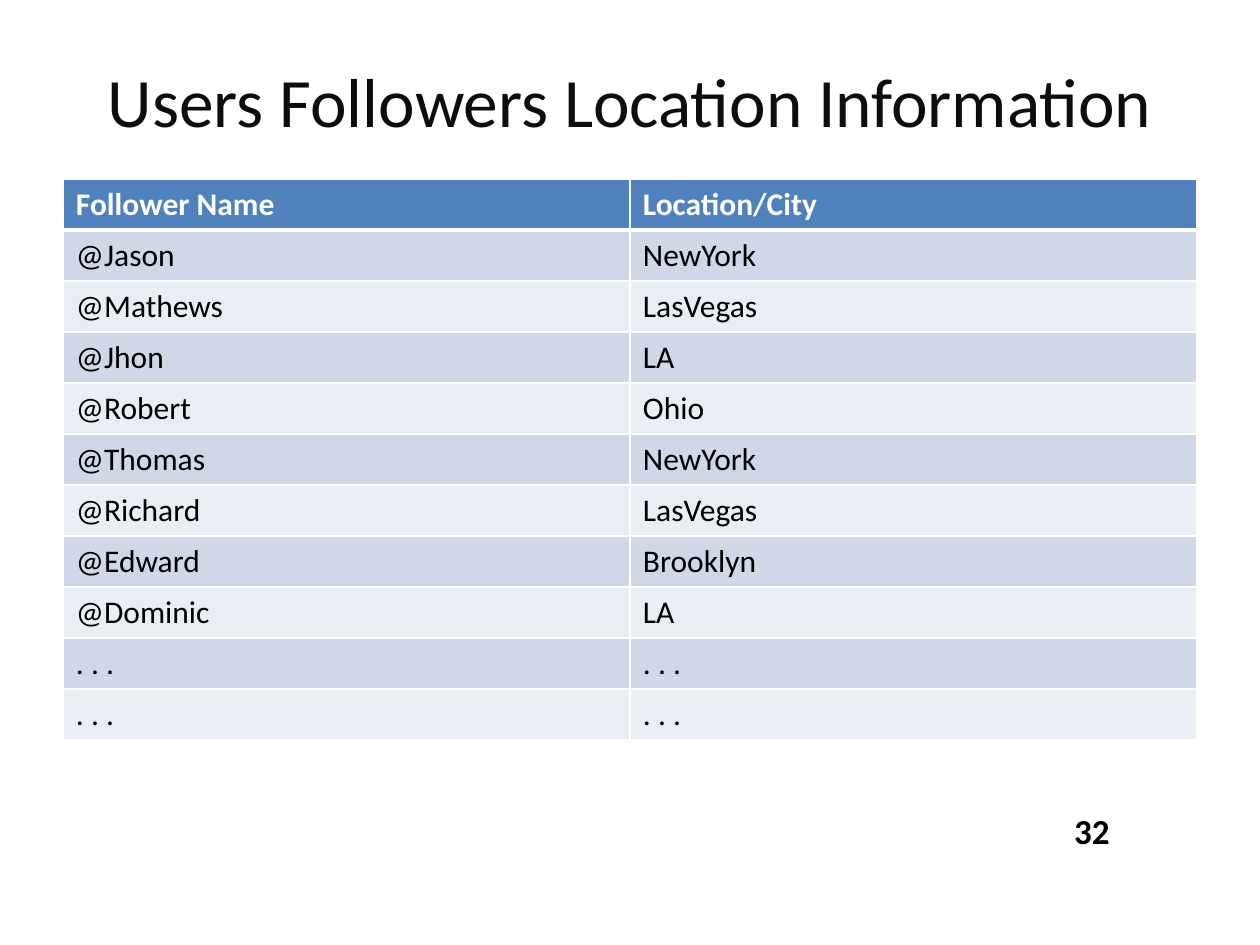
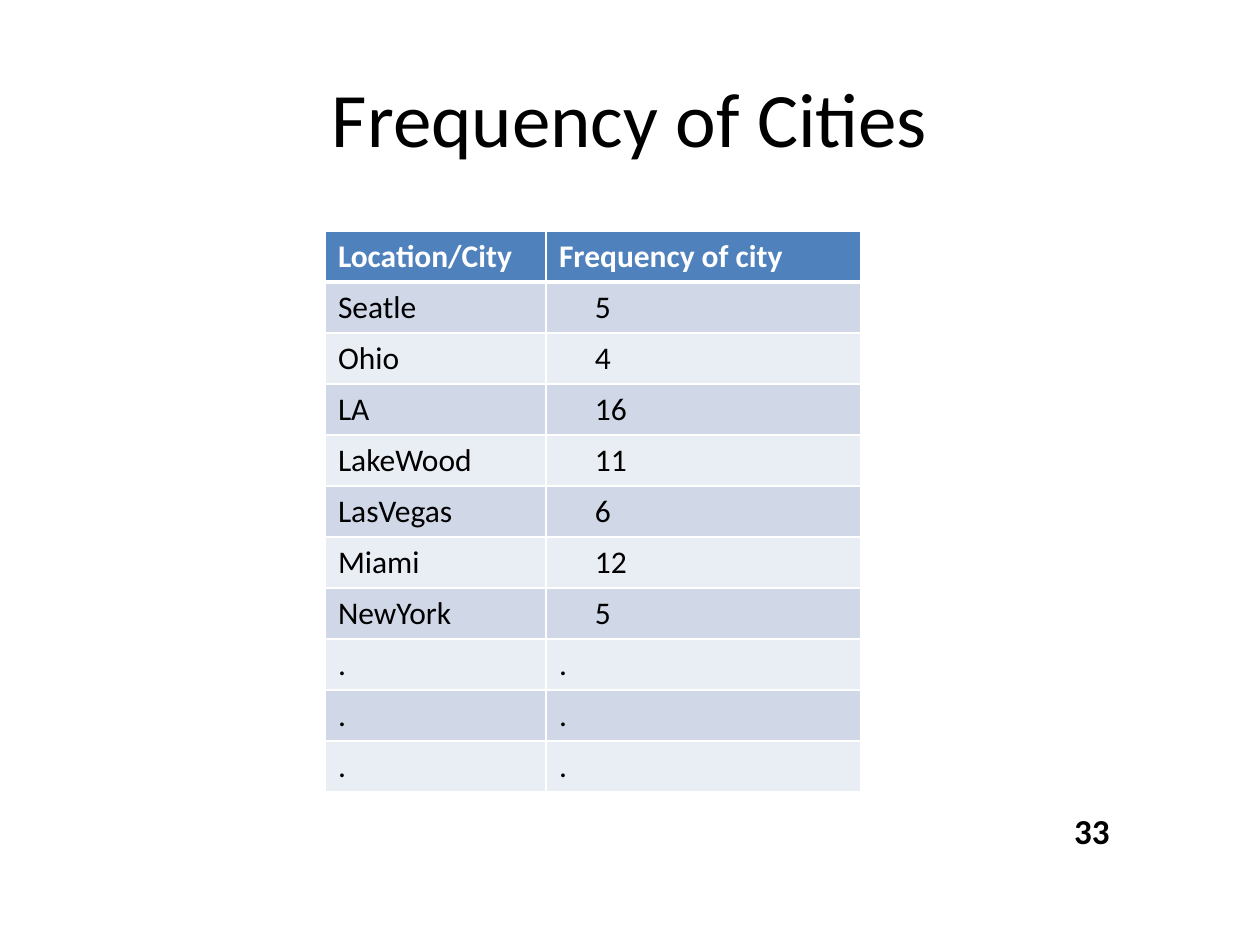
from lxml import etree
from pptx import Presentation
from pptx.dml.color import RGBColor
from pptx.enum.shapes import MSO_SHAPE
from pptx.enum.text import MSO_ANCHOR, PP_ALIGN
from pptx.oxml.ns import qn
from pptx.util import Emu, Pt

RECTANGLE = MSO_SHAPE.RECTANGLE
MIDDLE = MSO_ANCHOR.MIDDLE
CENTER = PP_ALIGN.CENTER

# Content
SLIDES = [
    {
        "title": "Users Followers Location Information",
        "title_size": 39.6, "title_color": "soft_black", "title_top": 21,
        "table_left": 63, "table_top": 179, "column_widths": [567, 567],
        "indent_numbers": 0,
        "rows": [
            ("Follower Name", "Location/City"),
            ("@Jason", "NewYork"),
            ("@Mathews", "LasVegas"),
            ("@Jhon", "LA"),
            ("@Robert", "Ohio"),
            ("@Thomas", "NewYork"),
            ("@Richard", "LasVegas"),
            ("@Edward", "Brooklyn"),
            ("@Dominic", "LA"),
            (". . .", ". . ."),
            (". . .", ". . ."),
        ],
        "number": "32",
    },
    {
        "title": "Frequency of Cities",
        "title_size": 44, "title_color": "black", "title_top": 38,
        "table_left": 325, "table_top": 231, "column_widths": [221, 315],
        "indent_numbers": 36,
        "rows": [
            ("Location/City", "Frequency of city"),
            ("Seatle", "5"),
            ("Ohio", "4"),
            ("LA", "16"),
            ("LakeWood", "11"),
            ("LasVegas", "6"),
            ("Miami", "12"),
            ("NewYork", "5"),
            (".", "."),
            (".", "."),
            (".", "."),
        ],
        "number": "33",
    },
]

# Shared style
COLORS = {
    "black": "000000", "soft_black": "0D0D0D", "white": "FFFFFF",
    "header": "4F81BD", "band_dark": "D0D8E8", "band_light": "E9EDF4",
}
FONT = "Calibri"
SLIDE_WIDTH, SLIDE_HEIGHT = 1260, 945
TITLE_LEFT, TITLE_WIDTH, TITLE_HEIGHT = 63, 1134, 158
NUMBER_BOX = (1029, 788, 126, 84)
ROW_HEIGHT = 51
CELL_MARGIN = 13
THIN, THICK = 1, 3


def px(length):
    return Emu(round(length * 914400 / 126))


def color(name):
    return RGBColor.from_string(COLORS[name])


def write(text_frame, text, size, color_name, bold=False, align=None):
    paragraph = text_frame.paragraphs[0]
    paragraph.alignment = align
    run = paragraph.add_run()
    run.text = text
    run.font.name = FONT
    run.font.size = Pt(size)
    run.font.bold = bold
    run.font.color.rgb = color(color_name)


def set_borders(cell, top, bottom):
    """Draw white borders; the line elements must precede the cell fill."""
    properties = cell._tc.get_or_add_tcPr()
    widths = {"lnL": THIN, "lnR": THIN, "lnT": top, "lnB": bottom}
    for position, (side, width) in enumerate(widths.items()):
        line = etree.Element(qn(f"a:{side}"), w=str(Pt(width)))
        fill = etree.SubElement(line, qn("a:solidFill"))
        etree.SubElement(fill, qn("a:srgbClr"), val=COLORS["white"])
        properties.insert(position, line)


def add_title(slide, content):
    box = slide.shapes.add_textbox(px(TITLE_LEFT), px(content["title_top"]),
                                   px(TITLE_WIDTH), px(TITLE_HEIGHT))
    box.text_frame.word_wrap = True
    box.text_frame.vertical_anchor = MIDDLE
    write(box.text_frame, content["title"], content["title_size"],
          content["title_color"], align=CENTER)


def add_city_table(slide, content):
    rows, widths = content["rows"], content["column_widths"]
    table = slide.shapes.add_table(
        len(rows), len(widths), px(content["table_left"]), px(content["table_top"]),
        px(sum(widths)), px(ROW_HEIGHT * len(rows))).table
    for column, width in zip(table.columns, widths):
        column.width = px(width)

    for row_index, row in enumerate(rows):
        table.rows[row_index].height = px(ROW_HEIGHT)
        is_header = row_index == 0
        band = "band_dark" if row_index % 2 else "band_light"
        for column_index, text in enumerate(row):
            cell = table.cell(row_index, column_index)
            indent = content["indent_numbers"] if text.isdigit() else 0
            cell.margin_left = px(CELL_MARGIN + indent)
            cell.fill.solid()
            cell.fill.fore_color.rgb = color("header" if is_header else band)
            set_borders(cell, top=THICK if row_index == 1 else THIN,
                        bottom=THICK if is_header else THIN)
            write(cell.text_frame, text, 18,
                  "white" if is_header else "black", bold=is_header)


def add_slide_number(slide, number):
    shape = slide.shapes.add_shape(RECTANGLE, *map(px, NUMBER_BOX))
    shape.shadow.inherit = False
    shape.fill.solid()
    shape.fill.fore_color.rgb = color("white")
    shape.line.color.rgb = color("white")
    shape.line.width = Pt(2)
    shape.text_frame.vertical_anchor = MIDDLE
    write(shape.text_frame, number, 20, "black", bold=True, align=CENTER)


def main():
    presentation = Presentation()
    presentation.slide_width = px(SLIDE_WIDTH)
    presentation.slide_height = px(SLIDE_HEIGHT)
    blank_layout = presentation.slide_layouts[6]
    for content in SLIDES:
        slide = presentation.slides.add_slide(blank_layout)
        add_title(slide, content)
        add_city_table(slide, content)
        add_slide_number(slide, content["number"])
    presentation.save("out.pptx")


if __name__ == "__main__":
    main()
